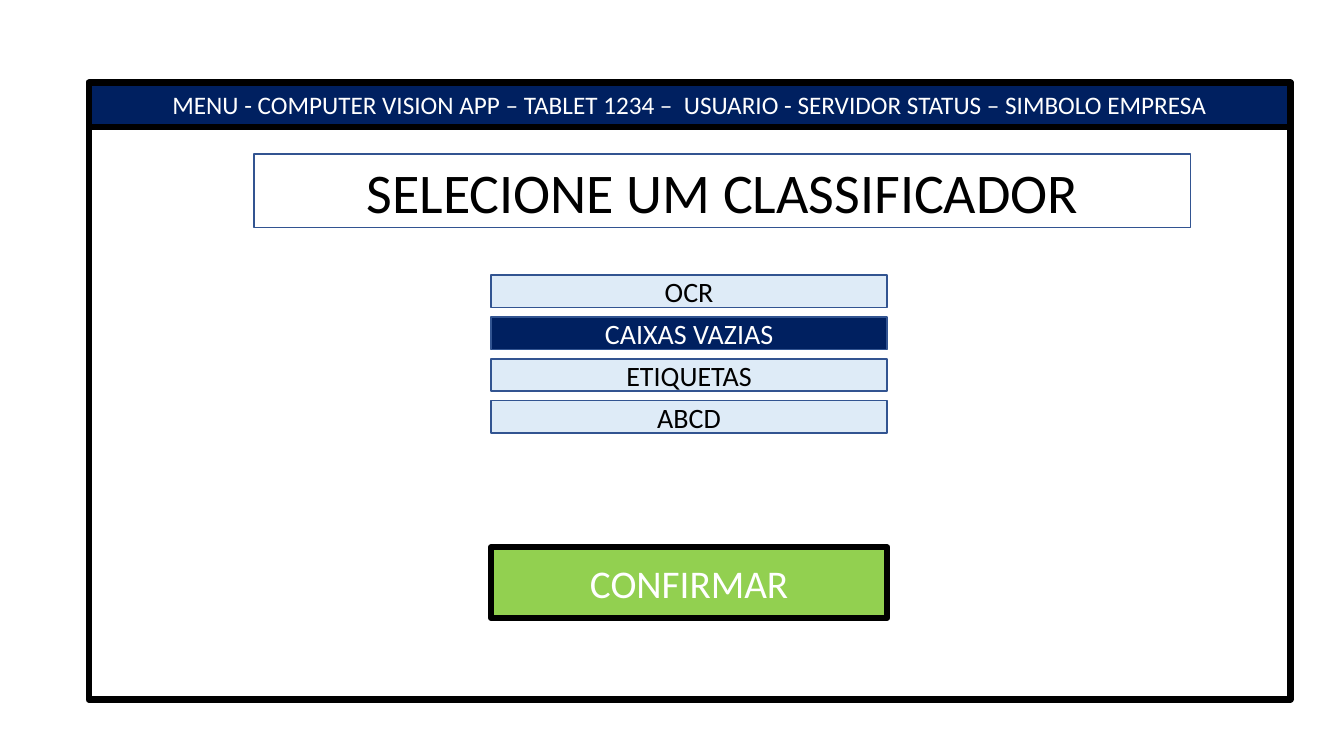
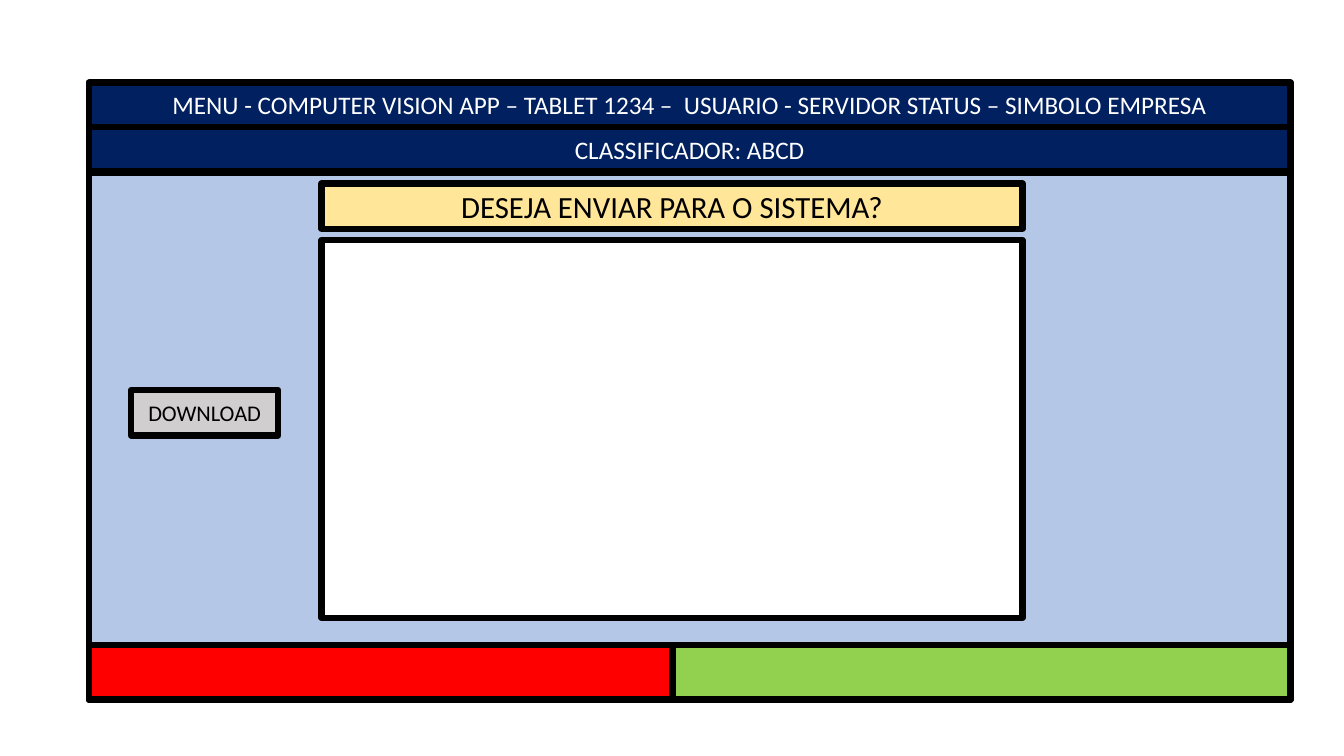
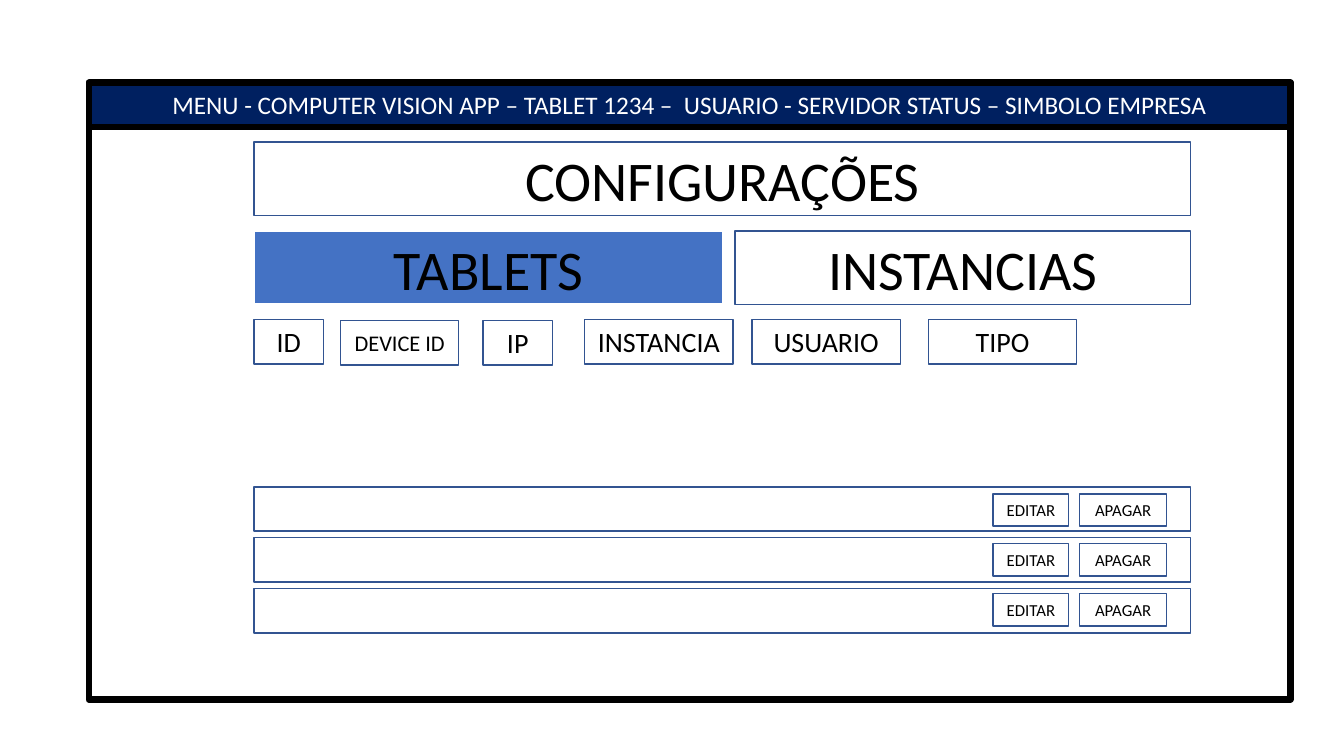
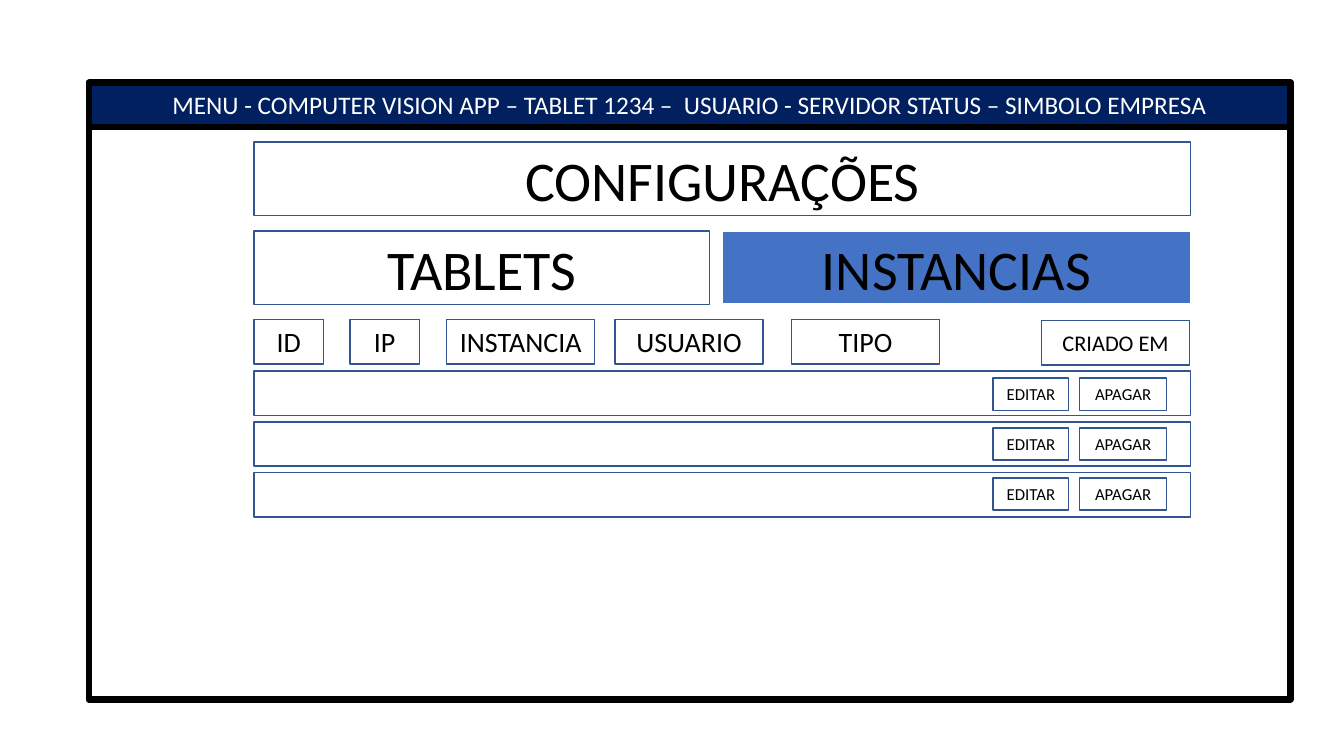
"""Build four wireframe screens of a tablet computer vision app."""
from pptx import Presentation
from pptx.dml.color import RGBColor
from pptx.enum.shapes import MSO_SHAPE
from pptx.enum.text import MSO_ANCHOR, PP_ALIGN
from pptx.util import Inches, Pt

COLORS = {
    "black": "000000",
    "white": "FFFFFF",
    "navy": "002060",
    "outline": "325491",
    "active": "4472C4",
    "option": "DEEBF7",
    "panel": "B4C7E7",
    "green": "92D050",
    "red": "FF0000",
    "gray": "D0CECE",
    "yellow": "FFE699",
}
BORDERS = {"thick": ("black", 4.5), "thin": ("outline", 1), "tab": ("white", 1.5)}
FONT = "Calibri"
HEADER = "MENU - COMPUTER VISION APP – TABLET 1234 –  USUARIO - SERVIDOR STATUS – SIMBOLO EMPRESA"
LEFT, TOP, WIDTH, HEIGHT = 0.88, 0.82, 11.92, 6.12
BAND_H = 0.44
CONTENT_X, CONTENT_W = 2.52, 9.29
TITLE_H = 0.73

prs = Presentation()
prs.slide_width, prs.slide_height = Inches(13.33), Inches(7.5)


def add_box(slide, x, y, w, h, text="", size=20, fill=None, border="thin", color="black"):
    sp = slide.shapes.add_shape(
        MSO_SHAPE.RECTANGLE, Inches(x), Inches(y), Inches(w), Inches(h))
    sp.shadow.inherit = False
    if fill:
        sp.fill.solid()
        sp.fill.fore_color.rgb = RGBColor.from_string(COLORS[fill])
    else:
        sp.fill.background()
    line_color, line_width = BORDERS[border]
    sp.line.color.rgb = RGBColor.from_string(COLORS[line_color])
    sp.line.width = Pt(line_width)
    if text:
        tf = sp.text_frame
        tf.text = text
        tf.vertical_anchor = MSO_ANCHOR.MIDDLE
        p = tf.paragraphs[0]
        p.alignment = PP_ALIGN.CENTER
        font = p.runs[0].font
        font.name, font.size = FONT, Pt(size)
        font.color.rgb = RGBColor.from_string(COLORS[color])


def add_screen():
    slide = prs.slides.add_slide(prs.slide_layouts[6])
    add_box(slide, LEFT, TOP, WIDTH, HEIGHT, border="thick")
    add_box(slide, LEFT, TOP, WIDTH, BAND_H, HEADER, 18, "navy", "thick", "white")
    return slide


slide = add_screen()
add_box(slide, CONTENT_X, 1.53, CONTENT_W, TITLE_H, "SELECIONE UM CLASSIFICADOR", 40)
selected = "CAIXAS VAZIAS"
for i, name in enumerate(["OCR", selected, "ETIQUETAS", "ABCD"]):
    fill, color = ("navy", "white") if name == selected else ("option", "black")
    add_box(slide, 4.87, 2.73 + i * 0.415, 3.93, 0.32, name, fill=fill, color=color)
add_box(slide, 4.87, 5.43, 3.93, 0.7, "CONFIRMAR", 28, "green", "thick", "white")

slide = add_screen()
add_box(slide, LEFT, 1.71, WIDTH, 4.69, fill="panel", border="thick")
add_box(slide, LEFT, TOP + BAND_H, WIDTH, BAND_H, "CLASSIFICADOR: ABCD", 18,
        "navy", "thick", "white")
add_box(slide, LEFT, 6.4, 5.79, 0.54, fill="red", border="thick")
add_box(slide, LEFT + 5.79, 6.4, WIDTH - 5.79, 0.54, fill="green", border="thick")
add_box(slide, 1.3, 3.87, 1.46, 0.45, "DOWNLOAD", 16, "gray", "thick")
add_box(slide, 3.19, 2.38, 6.95, 3.75, fill="white", border="thick")
add_box(slide, 3.19, 1.82, 6.95, 0.45, "DESEJA ENVIAR PARA O SISTEMA?", 22, "yellow", "thick")

settings = [
    {
        "active": "TABLETS",
        "columns": [("ID", 2.52, 3.17, 0.69, 20), ("DEVICE ID", 3.38, 3.18, 1.17, 16),
                    ("IP", 4.79, 3.18, 0.69, 20), ("INSTANCIA", 5.8, 3.17, 1.47, 20),
                    ("USUARIO", 7.46, 3.17, 1.47, 20), ("TIPO", 9.21, 3.17, 1.47, 20)],
        "rows_y": 4.83,
    },
    {
        "active": "INSTANCIAS",
        "columns": [("ID", 2.52, 3.17, 0.69, 20), ("IP", 3.47, 3.17, 0.69, 20),
                    ("INSTANCIA", 4.43, 3.17, 1.47, 20), ("USUARIO", 6.1, 3.17, 1.47, 20),
                    ("TIPO", 7.85, 3.17, 1.47, 20), ("CRIADO EM", 10.33, 3.18, 1.47, 16)],
        "rows_y": 3.68,
    },
]
for screen in settings:
    slide = add_screen()
    add_box(slide, CONTENT_X, 1.41, CONTENT_W, TITLE_H, "CONFIGURAÇÕES", 40)
    x = CONTENT_X
    for tab in ["TABLETS", "INSTANCIAS"]:
        w, fill, border = (4.65, "active", "tab") if tab == screen["active"] else (4.52, None, "thin")
        add_box(slide, x, 2.29, w, TITLE_H, tab, 40, fill, border)
        x += w + 0.12
    for name, x, y, w, size in screen["columns"]:
        add_box(slide, x, y, w, 0.44, name, size)
    for i in range(3):
        row_y = screen["rows_y"] + i * 0.505
        button_y = screen["rows_y"] + 0.07 + i * 0.495
        add_box(slide, CONTENT_X, row_y, CONTENT_W, 0.44)
        add_box(slide, 9.85, button_y, 0.75, 0.32, "EDITAR", 12)
        add_box(slide, 10.71, button_y, 0.86, 0.32, "APAGAR", 12)

prs.save("out.pptx")
